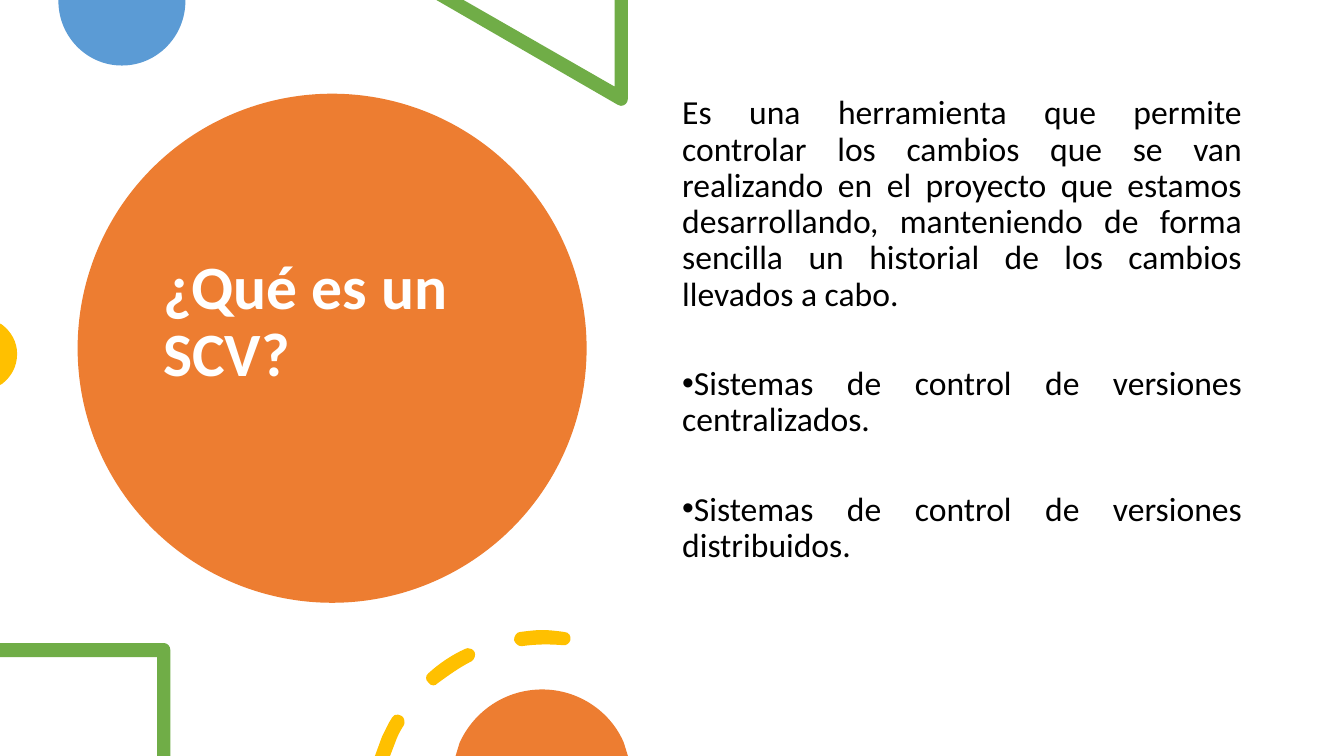
from lxml import etree
from pptx import Presentation
from pptx import util as u
from pptx.dml.color import RGBColor
from pptx.enum import shapes, text
from pptx.oxml import ns

THEME = {
    "orange": "ED7D31", "blue": "5B9BD5", "green": "70AD47", "yellow": "FFC000",
    "white": "FFFFFF", "black": "000000",
    "font": "Calibri", "title": 44, "body": 24, "leading": 0.9, "gap": 38,
}
UNIT_CM = 2.54

TITLE = "¿Qué es un SCV?"
DEFINITION = (
    "Es una herramienta que permite controlar los cambios que se van realizando "
    "en el proyecto que estamos desarrollando, manteniendo de forma sencilla un "
    "historial de los cambios llevados a cabo."
)
KINDS = [
    "Sistemas de control de versiones centralizados.",
    "Sistemas de control de versiones distribuidos.",
]
CIRCLE = (0.77, 0.93, 5.05, 5.05)
TITLE_AREA = (1.52, 1.35, 3.54, 4.45)
BODY_AREA = (6.67, 0.9, 5.75, 5.35)

TOP_DISC = [
    (1.84, 0), (0.58, 0), (0.58, 0.01),
    (0.58, 0.36, 0.86, 0.65, 1.21, 0.65), (1.56, 0.65, 1.84, 0.36, 1.84, 0.01),
]
TRIANGLE = [
    (6.23, 0), (6.1, 0), (6.1, 0.86), (4.6, 0), (4.33, 0), (6.13, 1.04),
    (6.14, 1.05, 6.15, 1.05, 6.16, 1.05), (6.2, 1.05, 6.23, 1.02, 6.23, 0.98),
]
LEFT_DISC = [
    (0, 3.21), (0, 3.82), (0.02, 3.81),
    (0.11, 3.74, 0.17, 3.64, 0.17, 3.51), (0.17, 3.39, 0.11, 3.29, 0.02, 3.22),
]
SQUARE = [
    (1.63, 6.38), (0, 6.38), (0, 6.52), (1.56, 6.52), (1.56, 7.5), (1.69, 7.5),
    (1.69, 6.45), (1.69, 6.41, 1.66, 6.38, 1.63, 6.38),
]
LOW_DASH = [
    (3.95, 7.09), (3.93, 7.08, 3.9, 7.1, 3.89, 7.12),
    (3.85, 7.18, 3.82, 7.25, 3.79, 7.31), (3.72, 7.5), (3.87, 7.5), (3.92, 7.37),
    (3.94, 7.31, 3.97, 7.25, 4.01, 7.19), (4.02, 7.16, 4.01, 7.11, 3.98, 7.1),
    (3.97, 7.09, 3.96, 7.09, 3.95, 7.09),
]
MIDDLE_DASH = [
    (4.64, 6.43), (4.63, 6.43, 4.62, 6.43, 4.61, 6.44),
    (4.48, 6.5, 4.36, 6.58, 4.25, 6.68), (4.22, 6.7, 4.22, 6.75, 4.25, 6.77),
    (4.26, 6.79, 4.28, 6.8, 4.3, 6.8), (4.32, 6.8, 4.33, 6.79, 4.34, 6.78),
    (4.45, 6.7, 4.56, 6.62, 4.68, 6.56), (4.71, 6.54, 4.72, 6.5, 4.71, 6.47),
    (4.69, 6.44, 4.67, 6.43, 4.64, 6.43),
]
HIGH_DASH = [
    (5.38, 6.25), (5.31, 6.25, 5.24, 6.26, 5.16, 6.27),
    (5.13, 6.27, 5.1, 6.31, 5.1, 6.35), (5.11, 6.38, 5.14, 6.41, 5.17, 6.41),
    (5.18, 6.41), (5.32, 6.39, 5.45, 6.39, 5.58, 6.4),
    (5.62, 6.41, 5.65, 6.38, 5.66, 6.35), (5.67, 6.31, 5.64, 6.27, 5.6, 6.27),
    (5.53, 6.26, 5.45, 6.25, 5.38, 6.25),
]
BOTTOM_DISC = [
    (5.38, 6.84), (5.01, 6.84, 4.7, 7.06, 4.56, 7.37), (4.52, 7.5), (6.23, 7.5),
    (6.19, 7.37), (6.06, 7.06, 5.74, 6.84, 5.38, 6.84),
]
ORNAMENTS = [
    ("blue", [TOP_DISC]),
    ("green", [TRIANGLE]),
    ("yellow", [LEFT_DISC]),
    ("green", [SQUARE]),
    ("yellow", [LOW_DASH, MIDDLE_DASH, HIGH_DASH]),
    ("orange", [BOTTOM_DISC]),
]


def length(units):
    return u.Cm(units * UNIT_CM)


def apply(target, values):
    for name, value in values.items():
        setattr(target, name, value)


def paint(shape, color):
    shape.shadow.inherit = False
    shape.fill.solid()
    shape.fill.fore_color.rgb = RGBColor.from_string(THEME[color])
    shape.line.fill.background()


def bend(shape, steps):
    segments = list(shape._element.iter(ns.qn("a:lnTo")))
    for segment, step in zip(segments, steps):
        if len(step) == 2:
            continue
        segment.tag = ns.qn("a:cubicBezTo")
        for index, (x, y) in enumerate((step[:2], step[2:4])):
            point = etree.Element(ns.qn("a:pt"))
            point.set("x", str(length(x) - shape.left))
            point.set("y", str(length(y) - shape.top))
            segment.insert(index, point)


def add_ornament(page, color, outlines):
    builder = None
    for outline in outlines:
        ends = [tuple(map(length, step[-2:])) for step in outline]
        if builder is None:
            builder = page.shapes.build_freeform(*ends[0], scale=1.0)
        else:
            builder.move_to(*ends[0])
        builder.add_line_segments(ends[1:], close=True)
    shape = builder.convert_to_shape()
    bend(shape, [step for outline in outlines for step in outline[1:]])
    paint(shape, color)


def add_box(page, area, frame_format):
    box = page.shapes.add_textbox(*map(length, area))
    apply(box.text_frame, {"word_wrap": True, **frame_format})
    return box.text_frame


def write(para, words, size, color, para_format):
    apply(para, {"line_spacing": THEME["leading"], **para_format})
    span = para.add_run()
    span.text = words
    apply(span.font, {
        "name": THEME["font"], "size": u.Pt(THEME[size]), "bold": size == "title",
    })
    span.font.color.rgb = RGBColor.from_string(THEME[color])


def add_bullet(para):
    settings = para._p.get_or_add_pPr()
    settings.set("marL", "0")
    settings.set("indent", "0")
    etree.SubElement(settings, ns.qn("a:buFont"), typeface="Arial")
    etree.SubElement(settings, ns.qn("a:buChar"), char="•")


def main():
    deck = Presentation()
    apply(deck, {"slide_width": u.Cm(33.87), "slide_height": u.Cm(19.05)})
    page = deck.slides.add_slide(deck.slide_layouts[6])

    circle = page.shapes.add_shape(shapes.MSO_SHAPE.OVAL, *map(length, CIRCLE))
    paint(circle, "orange")

    title = add_box(page, TITLE_AREA, {
        "vertical_anchor": text.MSO_ANCHOR.MIDDLE, "margin_bottom": u.Cm(2),
    })
    write(title.paragraphs[0], TITLE, "title", "white", {})

    for color, outlines in ORNAMENTS:
        add_ornament(page, color, outlines)

    body = add_box(page, BODY_AREA, {"vertical_anchor": text.MSO_ANCHOR.TOP})
    justified = {"alignment": text.PP_ALIGN.JUSTIFY}
    write(body.paragraphs[0], DEFINITION, "body", "black", justified)
    for kind in KINDS:
        para = body.add_paragraph()
        spaced = {**justified, "space_before": u.Pt(THEME["gap"])}
        write(para, kind, "body", "black", spaced)
        add_bullet(para)

    deck.save("out.pptx")


if __name__ == "__main__":
    main()
